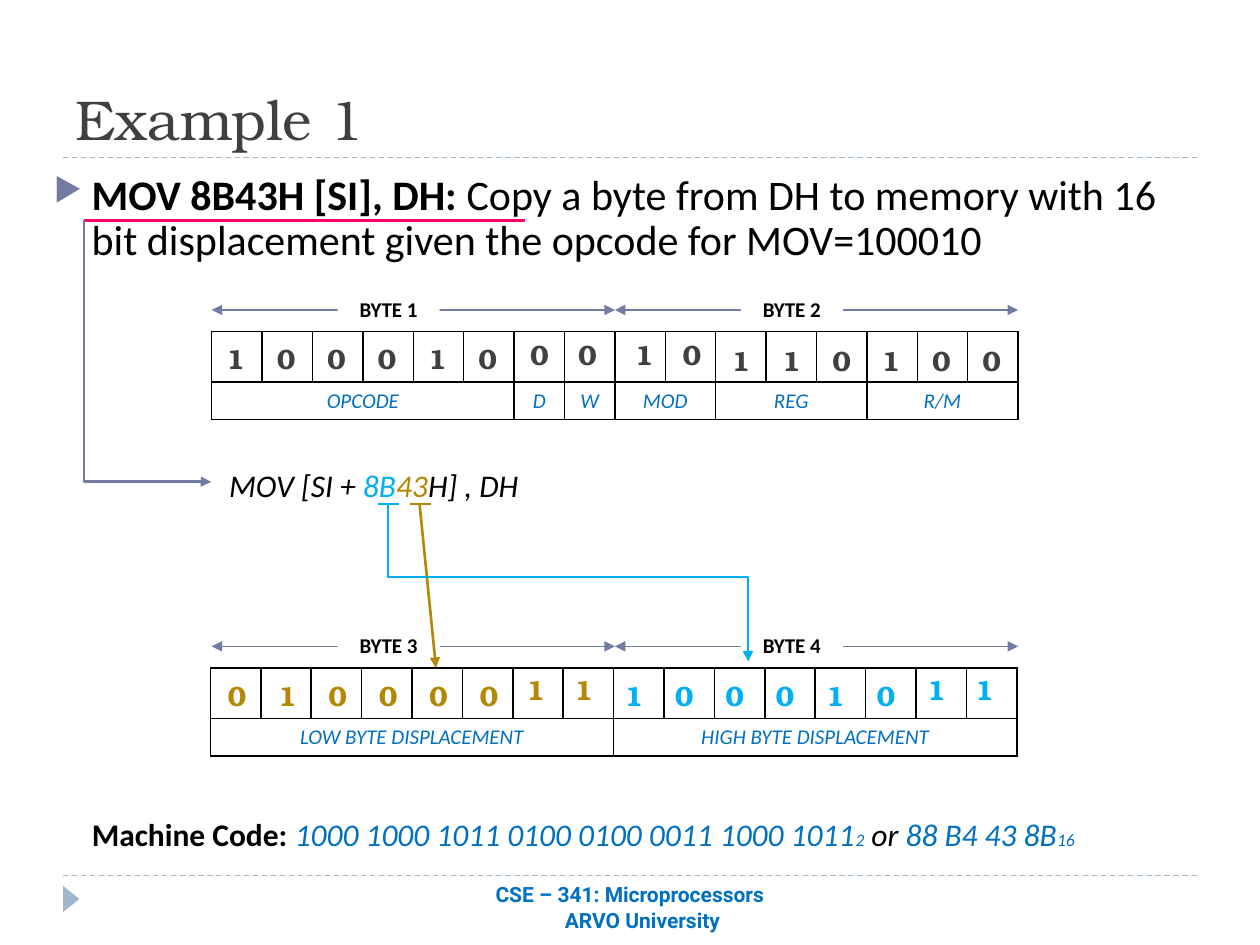
import pptx
import pptx.dml.color
import pptx.enum.dml
import pptx.enum.shapes
import pptx.enum.text
import pptx.oxml.ns
import pptx.util
from lxml import etree

RGB = pptx.dml.color.RGBColor
BLACK, WHITE, GREY = RGB(0, 0, 0), RGB(255, 255, 255), RGB(0x40, 0x40, 0x40)
BLUE, CYAN, GOLD = RGB(0, 0x70, 0xC0), RGB(0, 0xB0, 0xF0), RGB(0xB3, 0x88, 0x07)
SLATE, PALE, PINK = RGB(0x72, 0x7C, 0xA3), RGB(0x9F, 0xB8, 0xCD), RGB(0xFF, 0, 0x66)

ALIGN = pptx.enum.text.PP_ALIGN
ANCHOR = pptx.enum.text.MSO_ANCHOR
FIT_TEXT = pptx.enum.text.MSO_AUTO_SIZE.SHAPE_TO_FIT_TEXT
PRESET = pptx.enum.shapes.MSO_SHAPE
LINK = pptx.enum.shapes.MSO_CONNECTOR
DASH = pptx.enum.dml.MSO_LINE.DASH
inch, pt, qn = pptx.util.Inches, pptx.util.Pt, pptx.oxml.ns.qn
NO_GRID_STYLE = "{2D5ABB26-0587-4C30-8999-92F81FD0307C}"

TITLE_LOOK = {"size": 32, "name": "TeX Gyre Bonum", "color": GREY}
TASK_LOOK = {"size": 24, "name": "Calibri", "color": BLACK}
CODE_LOOK = {"size": 18, "name": "Calibri", "color": BLACK}
FIELD_LOOK = {"size": 12, "name": "Calibri", "color": BLUE, "italic": True}
BYTE_LOOK = {"size": 12, "name": "Calibri", "color": BLACK, "bold": True}
BIT_LOOK = {"size": 16, "name": "TeX Gyre Bonum", "bold": True}
COURSE_LOOK = {"size": 12, "name": "Roboto", "color": BLUE, "bold": True}
RESULT = {"color": BLUE, "italic": True}
SUBSCRIPT = {**RESULT, "size": 10}

TITLE = [("Example 1", {})]
TASK = [
    ("MOV 8B43H [SI], DH: ", {"bold": True}),
    ("Copy a byte from DH to memory with 16 bit displacement given the opcode for MOV=100010", {}),
]
INSTRUCTION = [("MOV [SI + ", {}), ("8B", {"color": CYAN}), ("43", {"color": GOLD}), ("H] , DH", {})]
MACHINE_CODE = [
    ("Machine Code: ", {"bold": True}),
    ("1000 1000 1011 0100 0100 0011 1000 1011", RESULT), ("2", SUBSCRIPT),
    (" or ", {"italic": True}),
    ("88 B4 43 8B", RESULT), ("16", SUBSCRIPT),
]
COURSE = [("CSE – 341: Microprocessors", 0), ("ARVO University", 0.2)]

BIT = 0.4
BYTE = 8 * BIT
BYTE_LEFT = 1.68
PAIR_PITCH = 0.38
BYTE_ROWS = [(2.46, ["BYTE 1", "BYTE 2"]), (5.13, ["BYTE 3", "BYTE 4"])]
FIELD_TABLES = [
    (1.68, 2.63, [("OPCODE", 6), ("D", 1), ("W", 1), ("MOD", 2), ("REG", 3), ("R/M", 3)]),
    (1.67, 5.3, [("LOW BYTE DISPLACEMENT", 8), ("HIGH BYTE DISPLACEMENT", 8)]),
]
BIT_TABLES = [
    (1.67, 2.63, "100010", GREY), (5.68, 2.64, "110", GREY), (6.87, 2.64, "100", GREY),
    (1.68, 5.3, "010000", GOLD), (4.83, 5.3, "100010", CYAN),
]
BIT_PAIRS = [
    (4.11, 2.63, "00", GREY), (4.94, 2.63, "10", GREY),
    (4.08, 5.29, "11", GOLD), (7.26, 5.29, "11", CYAN),
]
RULE_HEIGHTS = [1.25, 6.95]
MARKS = [
    ((0.67, 1.75), (4.17, 1.75), PINK, 2.25),
    ((3.25, 4), (3.42, 4), GOLD, 1.5),
    ((3, 4), (3.17, 4), CYAN, 1.5),
    ((3.08, 4), (3.08, 4.59), CYAN, 1.5),
]


def write(paragraph, runs, align=ALIGN.LEFT, **look):
    paragraph.alignment = align
    style(paragraph.font, **look)
    for words, difference in runs:
        run = paragraph.add_run()
        run.text = words
        style(run.font, **difference)


def style(font, color=None, size=None, **settings):
    if color is not None:
        font.color.rgb = color
    if size is not None:
        font.size = pt(size)
    for setting, value in settings.items():
        setattr(font, setting, value)


def add_text(box, runs, align=ALIGN.LEFT, **look):
    label = shapes.add_textbox(*map(inch, box))
    label.text_frame.word_wrap = True
    write(label.text_frame.paragraphs[0], runs, align, **look)
    return label


def add_solid(preset, box, color):
    solid = shapes.add_shape(preset, *map(inch, box))
    solid.shadow.inherit = False
    solid.fill.solid()
    solid.fill.fore_color.rgb = color
    solid.line.fill.background()
    return solid


def add_line(start, end, color, width, head=False, tail=False, kind=LINK.STRAIGHT):
    line = shapes.add_connector(kind, *map(inch, start + end))
    line.line.color.rgb = color
    line.line.width = pt(width)
    properties = line.element.spPr
    for tag, wanted in (("a:headEnd", head), ("a:tailEnd", tail)):
        if wanted:
            etree.SubElement(properties.find(qn("a:ln")), qn(tag), type="triangle")
    etree.SubElement(properties, qn("a:effectLst"))
    return line


def add_elbow(start, end, color, rotation=0):
    properties = add_line(start, end, color, 1.5, tail=True, kind=LINK.ELBOW).element.spPr
    guides = properties.find(qn("a:prstGeom")).find(qn("a:avLst"))
    etree.SubElement(guides, qn("a:gd"), name="adj1", fmla="val 99900")
    properties.find(qn("a:xfrm")).set("rot", str(rotation * 60000))


def add_grid(left, top, columns, heights):
    size = columns * BIT, sum(heights)
    frame = shapes.add_table(len(heights), columns, *map(inch, (left, top, *size)))
    next(frame.element.iter(qn("a:tableStyleId"))).text = NO_GRID_STYLE
    table = frame.table
    table.first_row = table.horz_banding = False
    for column in table.columns:
        column.width = inch(BIT)
    for row, height in zip(table.rows, heights):
        row.height = inch(height)
    for cell in table.iter_cells():
        cell.fill.background()
    return frame


def draw_borders(frame):
    for properties in frame.element.iter(qn("a:tcPr")):
        for position, side in enumerate(("a:lnL", "a:lnR", "a:lnT", "a:lnB")):
            edge = etree.Element(qn(side), w=str(pt(1)))
            fill = etree.SubElement(edge, qn("a:solidFill"))
            etree.SubElement(fill, qn("a:srgbClr"), val=str(BLACK))
            properties.insert(position, edge)


def add_bullet(paragraph_properties, char, color, percent):
    paragraph_properties.set("marL", str(inch(0.3)))
    paragraph_properties.set("indent", str(inch(-0.3)))
    bullet_color = etree.Element(qn("a:buClr"))
    etree.SubElement(bullet_color, qn("a:srgbClr"), val=str(color))
    bullet_size = etree.Element(qn("a:buSzPct"), val=str(percent * 1000))
    bullet_char = etree.Element(qn("a:buChar"), char=char)
    font_defaults = paragraph_properties.find(qn("a:defRPr"))
    for part in (bullet_color, bullet_size, bullet_char):
        font_defaults.addprevious(part)


deck = pptx.Presentation()
deck.slide_width, deck.slide_height = inch(10), inch(7.5)
shapes = deck.slides.add_slide(deck.slide_layouts[6]).shapes

for height in RULE_HEIGHTS:
    add_line((0.5, height), (9.5, height), PALE, 0.75).line.dash_style = DASH
add_solid(PRESET.ISOSCELES_TRIANGLE, (0.46, 7.07, 0.21, 0.13), PALE).rotation = 90

title = add_text((0.5, 0.17, 9, 1.08), TITLE, **TITLE_LOOK)
title.text_frame.vertical_anchor = ANCHOR.BOTTOM

task = add_solid(PRESET.RECTANGLE, (0.33, 1.33, 9.33, 5.4), WHITE)
task.text_frame.vertical_anchor = ANCHOR.TOP
statement = task.text_frame.paragraphs[0]
write(statement, TASK, **TASK_LOOK)
statement.line_spacing = 0.9
statement.space_before, statement.space_after = pt(6), pt(14.2)
add_bullet(next(task.element.iter(qn("a:pPr"))), "▶", SLATE, 76)

add_text((1.72, 3.65, 2.67, 0.4), INSTRUCTION, italic=True, **CODE_LOOK)

for left, top, fields in FIELD_TABLES:
    frame = add_grid(left, top, 16, (0.4, 0.3))
    first = 0
    for field, span in fields:
        cell = frame.table.cell(1, first)
        if span > 1:
            cell.merge(frame.table.cell(1, first + span - 1))
        write(cell.text_frame.paragraphs[0], [(field, {})], ALIGN.CENTER, **FIELD_LOOK)
        first += span
    draw_borders(frame)

for height, names in BYTE_ROWS:
    for order, name in enumerate(names):
        left = BYTE_LEFT + order * BYTE
        add_line((left, height), (left + BYTE, height), SLATE, 0.75, head=True, tail=True)
        label = add_solid(PRESET.RECTANGLE, (left + 1, height - 0.16, 0.81, 0.3), WHITE)
        write(label.text_frame.paragraphs[0], [(name, {})], ALIGN.CENTER, **BYTE_LOOK)

for left, top, bits, color in BIT_TABLES:
    table = add_grid(left, top, len(bits), [0.37]).table
    for cell, bit in zip(table.iter_cells(), bits):
        write(cell.text_frame.paragraphs[0], [(bit, {})], ALIGN.CENTER, color=color, **BIT_LOOK)

for left, top, bits, color in BIT_PAIRS:
    for order, bit in enumerate(bits):
        box = left + order * PAIR_PITCH, top, 0.33, 0.37
        digit = add_text(box, [(bit, {})], ALIGN.CENTER, color=color, **BIT_LOOK)
        digit.text_frame.auto_size = FIT_TEXT

for start, end, color, width in MARKS:
    add_line(start, end, color, width)
add_line((3.33, 4), (3.46, 5.3), GOLD, 1.5, tail=True)
add_elbow((2.21, 2.28), (0.13, 3.29), SLATE, rotation=270)
add_elbow((3.08, 4.58), (5.94, 5.25), CYAN)

add_text((0.63, 6.42, 8.58, 0.4), MACHINE_CODE, **CODE_LOOK)

footer = shapes.add_textbox(*map(inch, (2.5, 6.95, 5, 0.4)))
footer.text_frame.word_wrap = True
footer.text_frame.text = "\n".join(words for words, margin in COURSE)
for paragraph in footer.text_frame.paragraphs:
    write(paragraph, [], ALIGN.CENTER, **COURSE_LOOK)
for properties, (words, margin) in zip(footer.element.iter(qn("a:pPr")), COURSE):
    properties.set("marL", str(inch(margin)))

deck.save("out.pptx")
